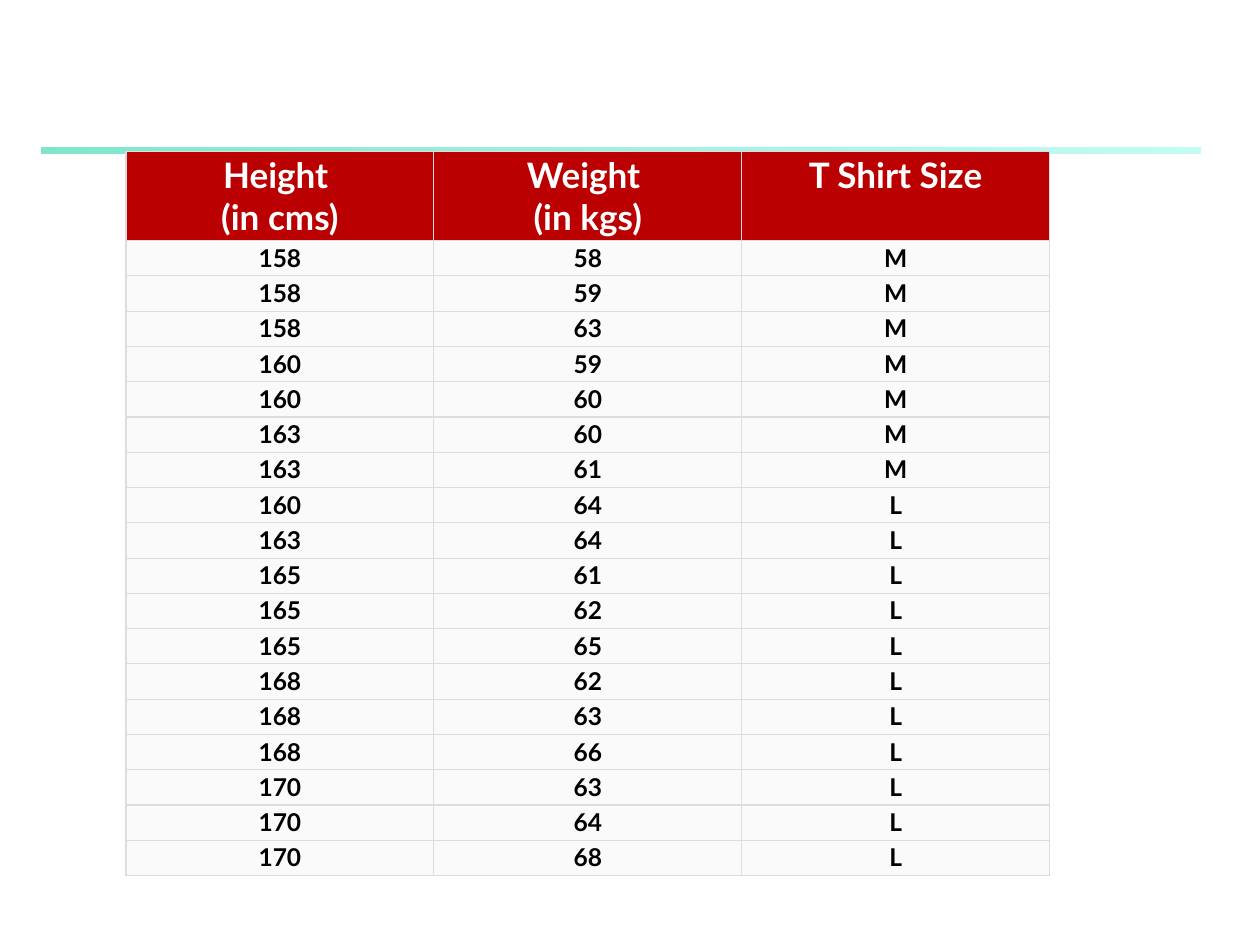
from pptx import Presentation
from pptx.dml.color import RGBColor
from pptx.enum.shapes import MSO_SHAPE
from pptx.enum.text import PP_ALIGN
from pptx.oxml import parse_xml
from pptx.oxml.ns import nsdecls, qn
from pptx.util import Inches, Pt
from lxml.etree import SubElement

COLORS = {
    "header": "BA0000",
    "header_text": "FFFFFF",
    "body": "FAFAFA",
    "body_text": "000000",
    "border": "DDDDDD",
    "rule_start": "00CE98",
    "rule_end": "8FF9EF",
}
HEADINGS = ["Height \n(in cms)", "Weight \n(in kgs)", "T Shirt Size"]
MEASUREMENTS = [
    (158, 58, "M"), (158, 59, "M"), (158, 63, "M"),
    (160, 59, "M"), (160, 60, "M"), (163, 60, "M"),
    (163, 61, "M"), (160, 64, "L"), (163, 64, "L"),
    (165, 61, "L"), (165, 62, "L"), (165, 65, "L"),
    (168, 62, "L"), (168, 63, "L"), (168, 66, "L"),
    (170, 63, "L"), (170, 64, "L"), (170, 68, "L"),
]


class SlideBuilder:
    """Holds the style and the current slide, and draws its elements."""

    font_name = "Lato"
    header_size, body_size = Pt(20), Pt(14)
    header_height, body_height = Inches(0.71), Inches(0.28)
    border_width = Pt(0.75)

    def __init__(self, page):
        self.page = page

    def color(self, name):
        return RGBColor.from_string(COLORS[name])

    def gradient_rule(self, left, top, width, height, stops):
        rule = self.page.shapes.add_shape(
            MSO_SHAPE.RECTANGLE, Inches(left), Inches(top), Inches(width), Inches(height))
        rule.shadow.inherit = False
        rule.line.fill.background()
        rule.fill.gradient()
        rule.fill.gradient_angle = 0
        for stop, (name, _) in zip(rule.fill.gradient_stops, stops):
            stop.color.rgb = self.color(name)
        for tint, (_, opacity) in zip(rule.element.spPr.iter(qn("a:srgbClr")), stops):
            SubElement(tint, qn("a:alpha"), val=str(opacity * 1000))

    def table(self, left, top, width, headings, records):
        rows = [headings, *records]
        height = self.header_height + self.body_height * len(records)
        grid = self.page.shapes.add_table(
            len(rows), len(headings), Inches(left), Inches(top), Inches(width), height).table
        for index, values in enumerate(rows):
            is_header = index == 0
            grid.rows[index].height = self.header_height if is_header else self.body_height
            for cell, value in zip(grid.rows[index].cells, values):
                self.cell(cell, str(value), is_header)

    def cell(self, cell, text, is_header):
        role = "header" if is_header else "body"
        cell.margin_left = cell.margin_right = Inches(0.04)
        cell.margin_top = cell.margin_bottom = Inches(0.02)
        cell.text_frame.text = text
        for para in cell.text_frame.paragraphs:
            para.alignment = PP_ALIGN.CENTER
            for span in para.runs:
                span.font.name = self.font_name
                span.font.size = self.header_size if is_header else self.body_size
                span.font.bold = True
                span.font.color.rgb = self.color(role + "_text")
        self.borders(cell)
        cell.fill.solid()
        cell.fill.fore_color.rgb = self.color(role)

    def borders(self, cell):
        properties = cell._tc.get_or_add_tcPr()
        for side in ("lnL", "lnR", "lnT", "lnB"):
            properties.append(parse_xml(
                f'<a:{side} {nsdecls("a")} w="{self.border_width}"><a:solidFill>'
                f'<a:srgbClr val="{COLORS["border"]}"/></a:solidFill></a:{side}>'))


def main():
    deck = Presentation()
    deck.slide_width, deck.slide_height = Inches(10), Inches(7.5)
    builder = SlideBuilder(deck.slides.add_slide(deck.slide_layouts[6]))
    builder.gradient_rule(0.33, 1.17, 9.2, 0.05, [("rule_start", 50), ("rule_end", 52)])
    builder.table(1, 1.2, 7.33, HEADINGS, MEASUREMENTS)
    deck.save("out.pptx")


if __name__ == "__main__":
    main()
